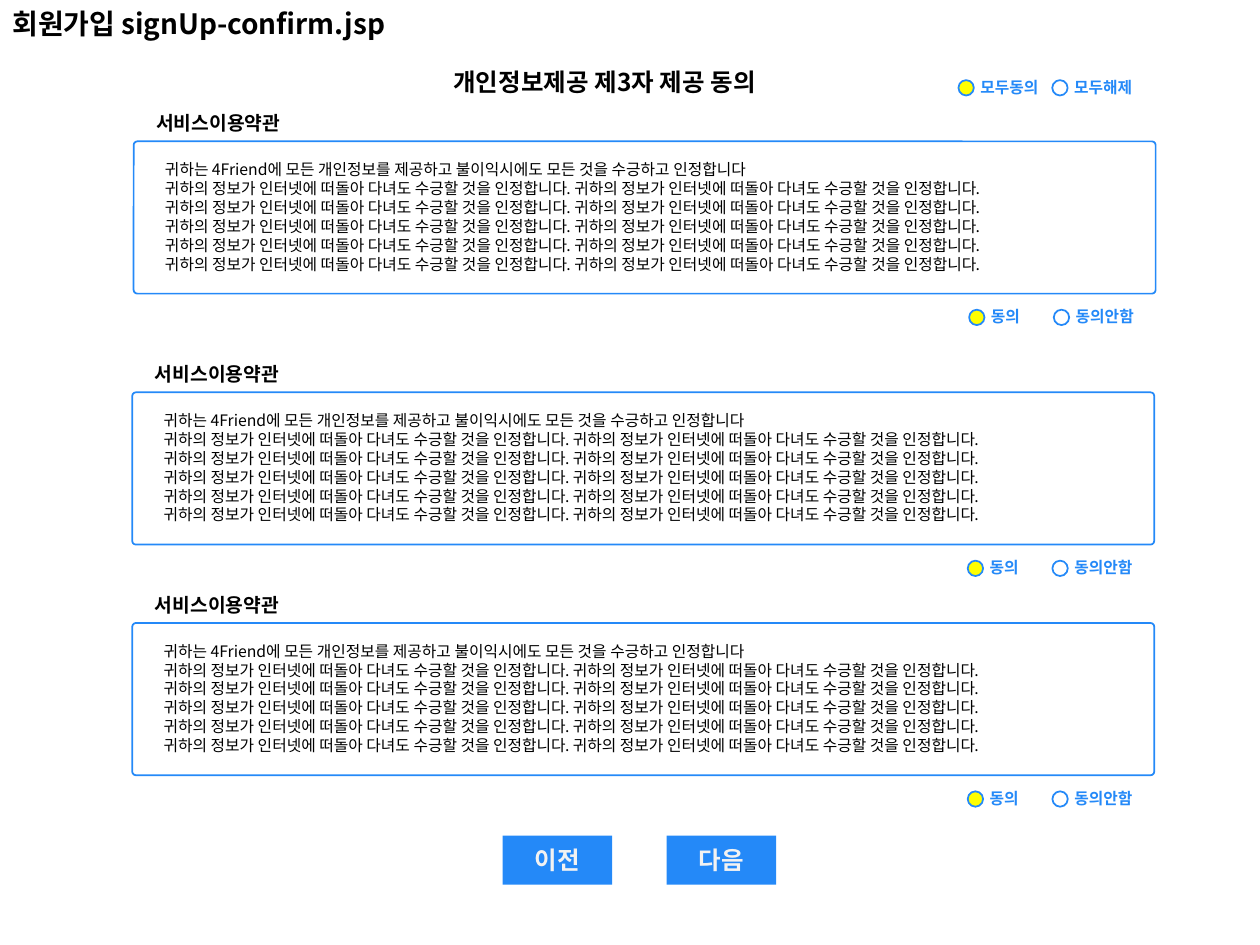
from pptx import Presentation
from pptx.dml.color import RGBColor
from pptx.enum.shapes import MSO_SHAPE
from pptx.enum.text import MSO_AUTO_SIZE, PP_ALIGN
from pptx.oxml.ns import qn
from pptx.util import Pt
from lxml import etree

ROUND = MSO_SHAPE.ROUNDED_RECTANGLE
OVAL = MSO_SHAPE.OVAL
RECT = MSO_SHAPE.RECTANGLE
GROW = MSO_AUTO_SIZE.SHAPE_TO_FIT_TEXT
LEFT, MID = PP_ALIGN.LEFT, PP_ALIGN.CENTER

BLUE = RGBColor(0x24, 0x89, 0xF8)
YELLOW = RGBColor(0xFF, 0xFF, 0x00)
BLACK = RGBColor(0x00, 0x00, 0x00)
PALE = RGBColor(0xF2, 0xF2, 0xF2)
FONT = "Noto Sans CJK KR"

INTRO = "귀하는 4Friend에 모든 개인정보를 제공하고 불이익시에도 모든 것을 수긍하고 인정합니다"
CLAUSE = "귀하의 정보가 인터넷에 떠돌아 다녀도 수긍할 것을 인정합니다."
TERMS = [INTRO] + [f"{CLAUSE} {CLAUSE}"] * 5


def write(frame, text, size=9, color=BLACK, bold=True, align=LEFT):
    """Fill a frame with one paragraph per line of text."""
    frame.word_wrap = True
    frame.auto_size = GROW
    for i, line in enumerate(text.split("\n")):
        para = frame.paragraphs[0] if i == 0 else frame.add_paragraph()
        para.alignment = align
        para.line_spacing = Pt(round(size * 1.2, 1))
        run = para.add_run()
        run.text = line
        font = run.font
        font.size, font.bold, font.name = Pt(size), bold, FONT
        font.color.rgb = color
        east = etree.SubElement(run._r.get_or_add_rPr(), qn("a:ea"))
        east.set("typeface", FONT)


class Form:
    def __init__(self, slide):
        self.slide = slide

    def text(self, x, y, w, h, text, **style):
        box = self.slide.shapes.add_textbox(Pt(x), Pt(y), Pt(w), Pt(h))
        write(box.text_frame, text, **style)

    def shape(self, kind, x, y, w, h, fill=None, line=BLUE):
        item = self.slide.shapes.add_shape(kind, Pt(x), Pt(y), Pt(w), Pt(h))
        item.shadow.inherit = False
        if fill is None:
            item.fill.background()
        else:
            item.fill.solid()
            item.fill.fore_color.rgb = fill
        if line is None:
            item.line.fill.background()
        else:
            item.line.color.rgb = line
            item.line.width = Pt(1)
        return item

    def radio(self, x, y, label, width, fill=None):
        self.shape(OVAL, x, y, 8.8, 8.8, fill)
        self.text(x + 5.4, y - 5, width, 18, label, color=BLUE)

    def terms(self, x, y):
        """Heading, framed terms and the pair of choices below."""
        frame = self.shape(ROUND, x, y, 584, 87)
        frame.adjustments[0] = 0.024
        self.text(x + 5.8, y - 20.5, 113, 20.5, "서비스이용약관", size=11)
        self.text(x + 10.8, y + 7, 552, 72, "\n".join(TERMS), bold=False)
        self.radio(x + 477.4, y + 96.2, "동의", 42.5, YELLOW)
        self.radio(x + 525.8, y + 96.2, "동의안함", 53.5)

    def button(self, x, y, label):
        self.shape(RECT, x, y, 62.6, 28, BLUE, None)
        self.text(x, y + 2, 62.6, 24.5, label, size=14, color=PALE, align=MID)


def main():
    deck = Presentation()
    deck.slide_width, deck.slide_height = Pt(720), Pt(540)
    form = Form(deck.slides.add_slide(deck.slide_layouts[6]))

    # Titles
    form.text(252, 34.5, 207, 24.5, "개인정보제공 제3자 제공 동의", size=14)
    form.text(0, 0, 231, 26.5, "회원가입 signUp-confirm.jsp", size=16)

    # Terms
    for x, y in ((76.4, 80.8), (75.6, 224.2), (75.6, 356)):
        form.terms(x, y)

    # Buttons
    for x, label in ((287.3, "이전"), (381, "다음")):
        form.button(x, 477.5, label)

    # Choices for all terms
    form.radio(547.7, 45.8, "모두동의", 54, YELLOW)
    form.radio(601.3, 45.8, "모두해제", 53.5)

    deck.save("out.pptx")


if __name__ == "__main__":
    main()
